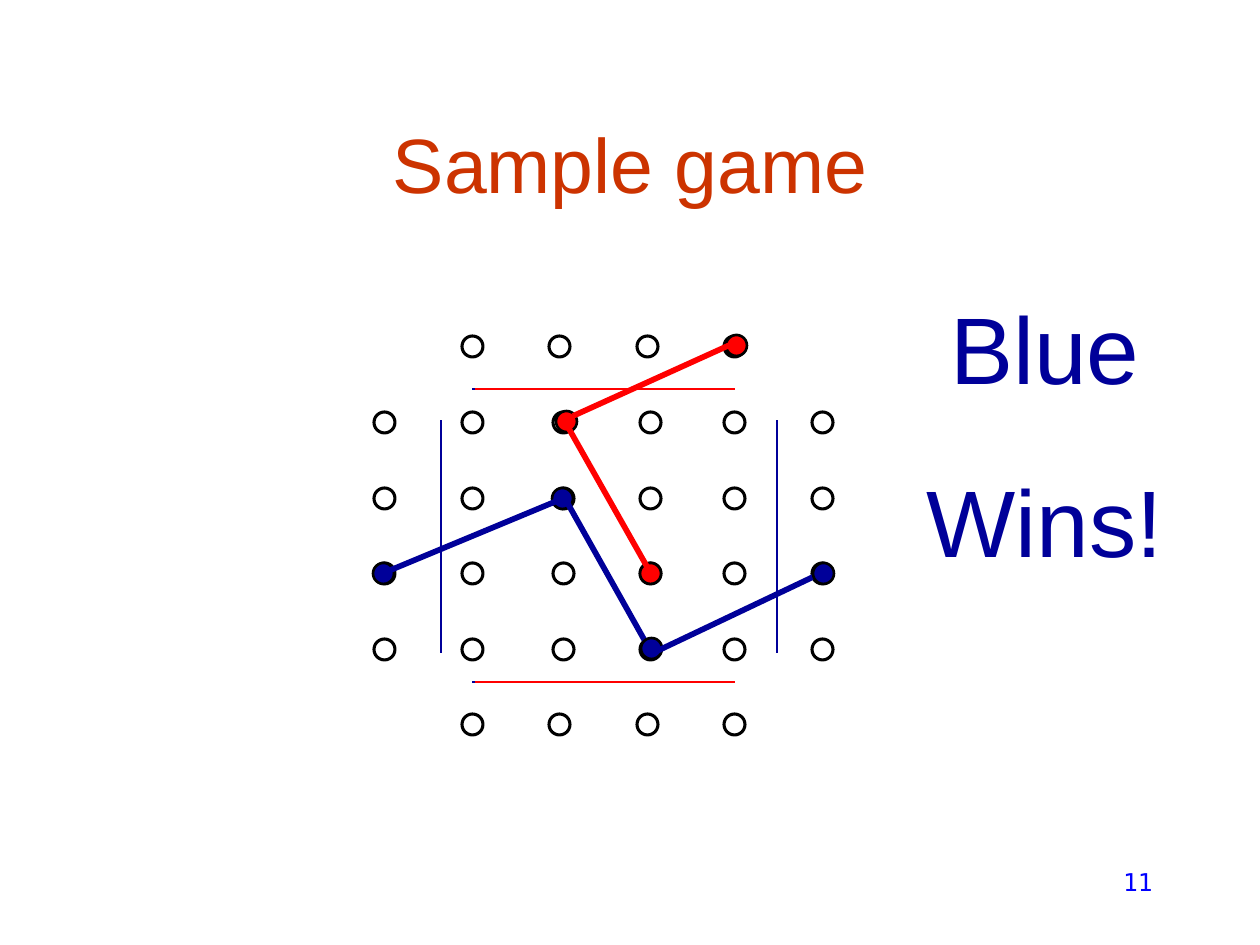
"""Build the sample game slide: a peg board with the winning blue path."""
from dataclasses import dataclass
from lxml.etree import SubElement
from pptx import Presentation
from pptx.dml.color import RGBColor as Rgb
from pptx.enum.shapes import MSO_CONNECTOR as Connector, MSO_SHAPE as Shape
from pptx.enum.text import MSO_ANCHOR as Anchor, MSO_AUTO_SIZE as AutoSize, PP_ALIGN as Align
from pptx.oxml.ns import qn
from pptx.util import Pt

PX = 914400 / 126
DOT = 21


@dataclass(frozen=True)
class Theme:
    title: Rgb = Rgb(0xCC, 0x33, 0x00)
    blue: Rgb = Rgb(0x00, 0x00, 0x99)
    red: Rgb = Rgb(0xFF, 0x00, 0x00)
    outline: Rgb = Rgb(0x00, 0x00, 0x00)
    number: Rgb = Rgb(0x00, 0x00, 0xFF)
    font: str = "Arial"
    number_font: str = "DejaVu Sans Mono"
    title_size: int = 44
    result_size: int = 54
    number_size: int = 14
    peg_line: float = 1.75
    token_line: float = 1.5
    border_line: float = 1.5
    path_line: float = 3.25


theme = Theme()


def add_dot(left, top, fill=None):
    dot = page.shapes.add_shape(Shape.OVAL, *[round(n * PX) for n in (left, top, DOT, DOT)])
    dot.shadow.inherit = False
    dot.line.color.rgb = theme.outline
    if fill is None:
        dot.fill.background()
        dot.line.width = Pt(theme.peg_line)
    else:
        dot.fill.solid()
        dot.fill.fore_color.rgb = fill
        dot.line.width = Pt(theme.token_line)


def add_line(color, width, *ends):
    line = page.shapes.add_connector(Connector.STRAIGHT, *[round(n * PX) for n in ends])
    line.line.color.rgb = color
    line.line.width = Pt(width)
    SubElement(line._element.spPr, qn("a:effectLst"))


deck = Presentation()
deck.slide_width, deck.slide_height = round(1260 * PX), round(945 * PX)
page = deck.slides.add_slide(deck.slide_layouts[5])

title = page.shapes.title
title.left, title.top, title.width, title.height = [round(n * PX) for n in (95, 84, 1071, 158)]
title.text_frame.text = "Sample game"
title.text_frame.vertical_anchor = Anchor.MIDDLE

end_columns = (462, 549, 637, 724)
inner_columns = (374, 462, 553, 640, 724, 812)
rows = (336, 412, 488, 563, 639, 714)
for row in rows:
    for column in end_columns if row in (rows[0], rows[-1]) else inner_columns:
        add_dot(column, row)

for y in (389, 682):
    add_line(theme.blue, theme.border_line, 732, y, 472, y)
    add_line(theme.red, theme.border_line, 735, y, 475, y)
for x in (441, 777):
    for color in (theme.red, theme.blue):
        add_line(color, theme.border_line, x, 653, x, 420)

add_dot(552, 488, theme.blue)
add_dot(373, 563, theme.blue)
add_dot(640, 563, theme.red)
add_line(theme.blue, theme.path_line, 386, 572, 564, 498)
add_dot(556, 411, theme.red)
add_line(theme.red, theme.path_line, 650, 572, 564, 420)
add_line(theme.blue, theme.path_line, 563, 495, 650, 650)
add_dot(641, 638, theme.blue)
add_dot(726, 335, theme.red)
add_line(theme.red, theme.path_line, 573, 416, 732, 344)
add_line(theme.blue, theme.path_line, 653, 653, 813, 577)
add_dot(813, 563, theme.blue)

result = page.shapes.add_textbox(*[round(n * PX) for n in (914, 284, 262, 299)])
result.text_frame.text = "Blue\nWins!"
result.text_frame.auto_size = AutoSize.SHAPE_TO_FIT_TEXT
for para in result.text_frame.paragraphs:
    para.space_before = Pt(34)

number = page.shapes.add_textbox(*[round(n * PX) for n in (903, 861, 262, 63)])
number.text_frame.text = "11"

for box, align, font, size, color in (
    (title, Align.CENTER, theme.font, theme.title_size, theme.title),
    (result, Align.CENTER, theme.font, theme.result_size, theme.blue),
    (number, Align.RIGHT, theme.number_font, theme.number_size, theme.number),
):
    box.text_frame.word_wrap = True
    for para in box.text_frame.paragraphs:
        para.alignment = align
        for span in para.runs:
            span.font.name = font
            span.font.size = Pt(size)
            span.font.color.rgb = color

deck.save("out.pptx")
